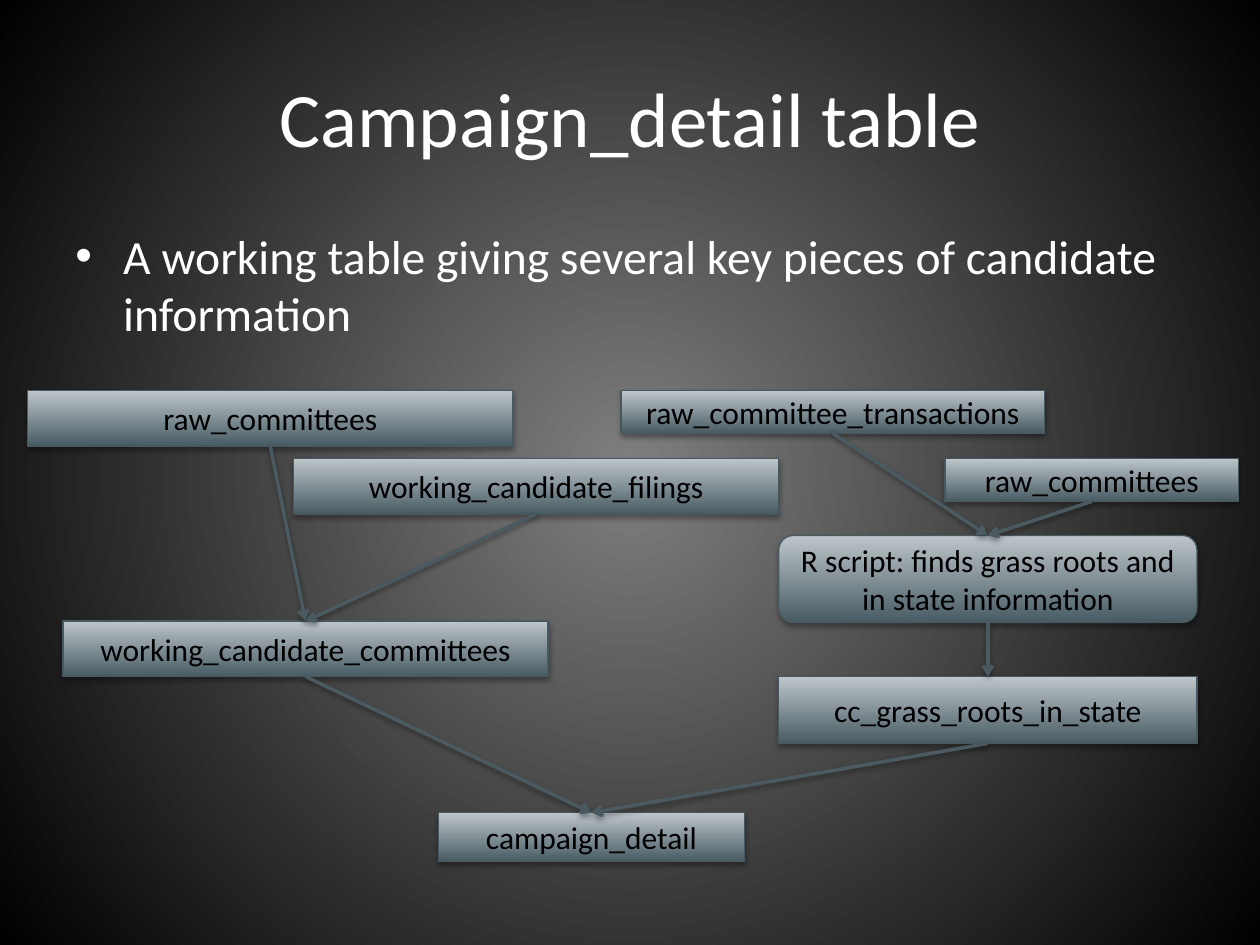
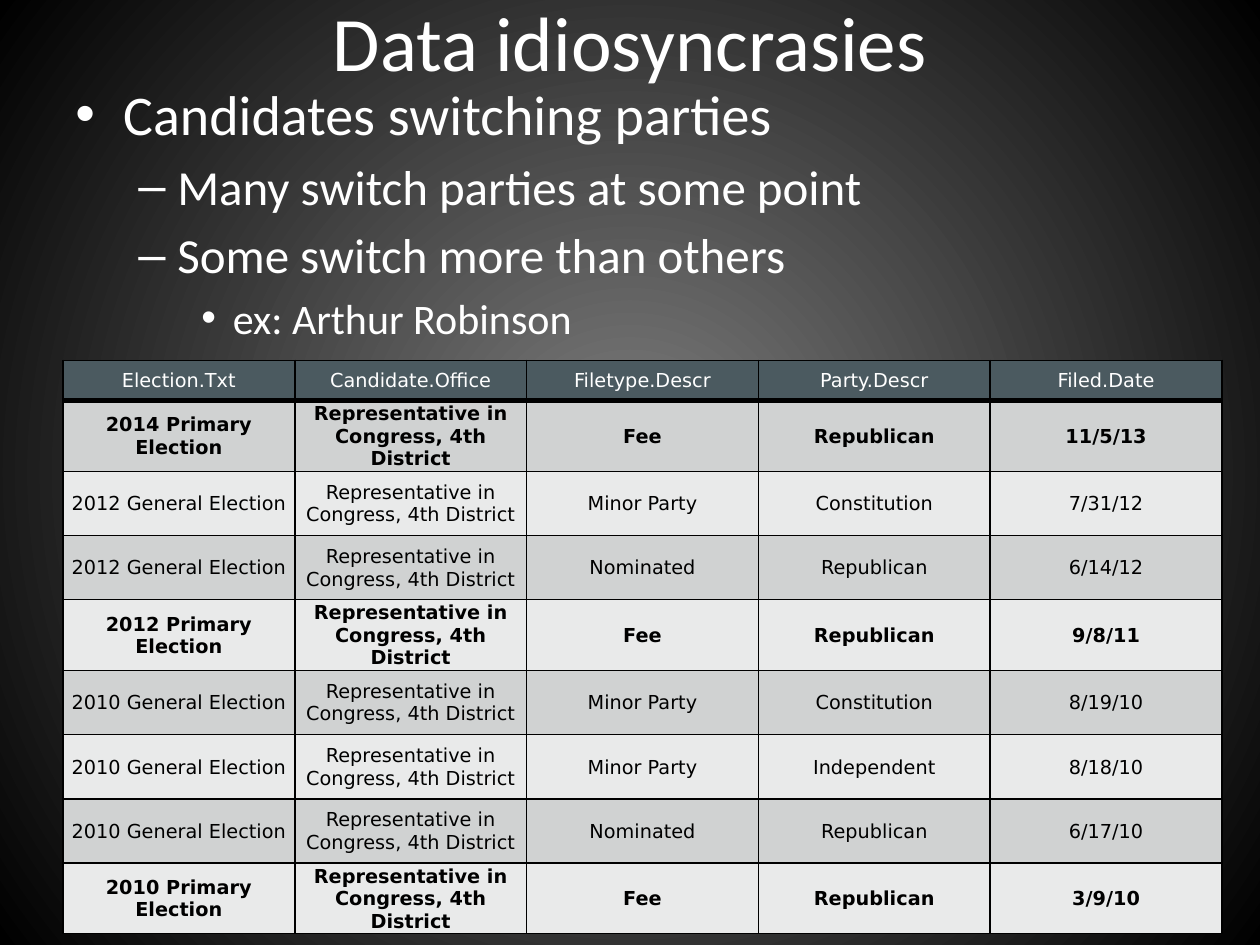
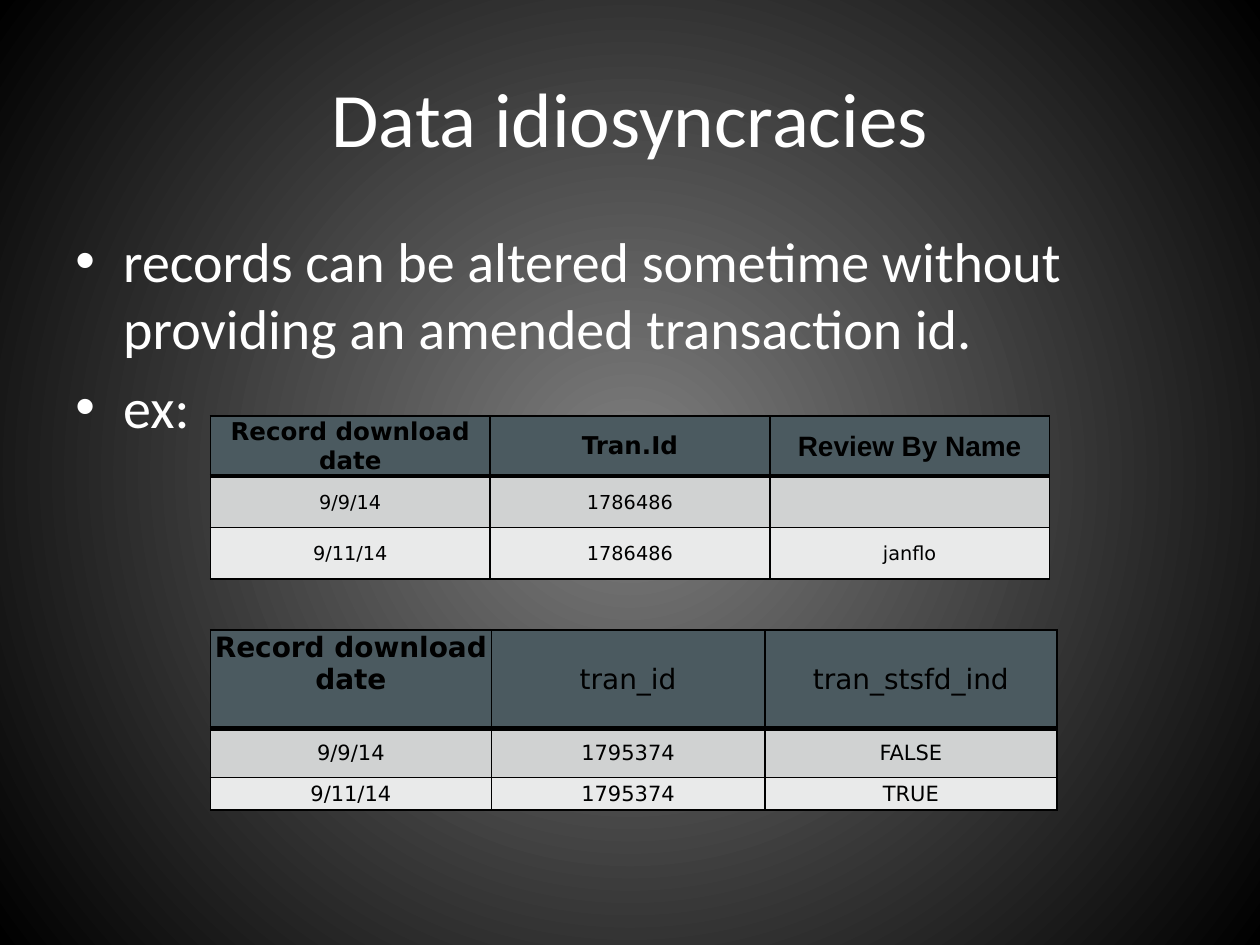
from lxml.etree import SubElement
from pptx import Presentation
from pptx.dml.color import RGBColor
from pptx.enum.shapes import MSO_CONNECTOR, MSO_SHAPE
from pptx.enum.text import MSO_ANCHOR, PP_ALIGN
from pptx.oxml.ns import qn
from pptx.util import Inches, Pt

WIDE, HIGH = 10, 7.5
SIDE = WIDE * 0.05
WHITE, BLACK, SLATE = "FFFFFF", "000000", "4B5A60"
BANDS = "D0D2D2", "E9EAEA"
GLOW = "7F7F7F", BLACK
STEEL = "485B63", "BDC6CA"
EDGE = "49585E"
SANS = "DejaVu Sans"
TITLE = dict(name="Calibri", size=44, color=WHITE)
LABEL = dict(name="Calibri", size=18, color=BLACK)

# bullet, left indent, hanging indent, size
LEVELS = [("•", 0.38, 0.38, 32), ("–", 0.81, 0.31, 28), ("•", 1.25, 0.25, 24)]

FLOW = dict(
    title="Campaign_detail table", top=0.3, body=1.75, size=27.2,
    points=[(0, "A working table giving several key pieces of candidate information")])
# key: text, left, top, width, height
BOXES = {
    "committees": ("raw_committees", 0.22, 3.1, 3.85, 0.44),
    "filings": ("working_candidate_filings", 2.33, 3.64, 3.85, 0.44),
    "working": ("working_candidate_committees", 0.5, 4.93, 3.85, 0.44),
    "moves": ("raw_committee_transactions", 4.93, 3.1, 3.36, 0.34),
    "raw": ("raw_committees", 7.5, 3.64, 2.33, 0.34),
    "script": ("R script: finds grass roots and in state information", 6.18, 4.25, 3.32, 0.69),
    "roots": ("cc_grass_roots_in_state", 6.18, 5.37, 3.32, 0.53),
    "detail": ("campaign_detail", 3.48, 6.45, 2.43, 0.39),
}
ARROWS = [("committees", "working"), ("filings", "working"), ("working", "detail"),
          ("moves", "script"), ("raw", "script"), ("script", "roots"), ("roots", "detail")]

SWITCH = dict(
    title="Data idiosyncrasies", top=-0.3, body=0.58,
    points=[(0, "Candidates switching parties"), (1, "Many switch parties at some point"),
            (1, "Some switch more than others"), (2, "ex: Arthur Robinson")])
OFFICE = "Representative in Congress, 4th District"
FILINGS = [
    ("2014 Primary Election", "Fee", "Republican", "11/5/13"),
    ("2012 General Election", "Minor Party", "Constitution", "7/31/12"),
    ("2012 General Election", "Nominated", "Republican", "6/14/12"),
    ("2012 Primary Election", "Fee", "Republican", "9/8/11"),
    ("2010 General Election", "Minor Party", "Constitution", "8/19/10"),
    ("2010 General Election", "Minor Party", "Independent", "8/18/10"),
    ("2010 General Election", "Nominated", "Republican", "6/17/10"),
    ("2010 Primary Election", "Fee", "Republican", "3/9/10"),
]
PARTIES = dict(
    at=(SIDE, 2.86), cols=[1.84] * 5, rows=[0.32] + [0.51] * 8, size=11,
    head=[(name, dict(size=11, color=WHITE)) for name in (
        "Election.Txt", "Candidate.Office", "Filetype.Descr", "Party.Descr", "Filed.Date")],
    data=[(vote, OFFICE, *rest) for vote, *rest in FILINGS])

ALTER = dict(
    title="Data idiosyncracies", top=0.3, body=1.75,
    points=[(0, "records can be altered sometime without providing an amended transaction id."),
            (0, "ex:")])
REVIEW = dict(
    at=(1.67, 3.3), cols=[2.22] * 3, rows=[0.47, 0.41, 0.41], size=11,
    head=[("Record download date", dict(size=14, bold=True)),
          ("Tran.Id", dict(size=14, bold=True)),
          ("Review By Name", dict(size=16, bold=True, name="Arial"))],
    data=[("9/9/14", "1786486", ""), ("9/11/14", "1786486", "janflo")])
STATUS = dict(
    at=(1.67, 5), cols=[2.23, 2.17, 2.32], rows=[0.78, 0.39, 0.26], size=12,
    head=[("Record download date", dict(size=16, bold=True, anchor=MSO_ANCHOR.TOP)),
          ("tran_id", dict(size=16)), ("tran_stsfd_ind", dict(size=16))],
    data=[("9/9/14", "1795374", "FALSE"), ("9/11/14", "1795374", "TRUE")])


def rgb(code):
    return RGBColor.from_string(code)


def inch(*sizes):
    return [Inches(size) for size in sizes]


def node(parent, tag, **attrs):
    return SubElement(parent, qn(tag), {key: str(val) for key, val in attrs.items()})


def write(para, text, style):
    run = para.add_run()
    run.text = text
    for key, val in style.items():
        if key == "color":
            run.font.color.rgb = rgb(val)
        else:
            setattr(run.font, key, Pt(val) if key == "size" else val)


def blend(fill, codes):
    fill.gradient()
    for stop, code, place in zip(fill.gradient_stops, codes, (0, 1)):
        stop.color.rgb = rgb(code)
        stop.position = place


def glow(master):
    """Give every slide a round gradient, light at the centre."""
    blend(master.background.fill, GLOW)
    grad = next(master.element.iter(qn("a:gradFill")))
    grad.remove(grad.find(qn("a:lin")))
    ring = node(grad, "a:path", path="circle")
    node(ring, "a:fillToRect", l=50000, t=50000, r=50000, b=50000)


def shade(shape, drop, alpha):
    effects = node(shape.element.spPr, "a:effectLst")
    cast = node(effects, "a:outerShdw", blurRad=Pt(3.1), dist=Pt(drop),
                dir=5400000, rotWithShape=0)
    node(node(cast, "a:srgbClr", val=BLACK), "a:alpha", val=alpha * 1000)


def frame(slide, top, height):
    text = slide.shapes.add_textbox(*inch(SIDE, top, WIDE - 2 * SIDE, height)).text_frame
    text.word_wrap = True
    return text


def page(prs, title, top, body, points, size=None):
    slide = prs.slides.add_slide(prs.slide_layouts[6])
    head = frame(slide, top, HIGH / 6)
    head.vertical_anchor = MSO_ANCHOR.MIDDLE
    head.paragraphs[0].alignment = PP_ALIGN.CENTER
    write(head.paragraphs[0], title, TITLE)
    text = frame(slide, body, 0.9 if size else 4.95)
    for pos, (level, words) in enumerate(points):
        para = text.add_paragraph() if pos else text.paragraphs[0]
        mark, left, hang, full = LEVELS[level]
        high = size or full
        para.level = level
        para.space_before = Pt(round(high * 0.2, 1))
        props = para._p.get_or_add_pPr()
        props.set("marL", str(Inches(left)))
        props.set("indent", str(-Inches(hang)))
        node(props, "a:buFont", typeface="Arial")
        node(props, "a:buChar", char=mark)
        write(para, words, {**TITLE, "size": high})
    return slide


def box(slide, text, *place, kind=MSO_SHAPE.RECTANGLE):
    shape = slide.shapes.add_shape(kind, *inch(*place))
    blend(shape.fill, STEEL)
    shape.fill.gradient_angle = 90
    shape.line.color.rgb = rgb(EDGE)
    shape.line.width = Pt(0.75)
    shade(shape, 1.8, 35)
    label = shape.text_frame
    label.word_wrap = True
    label.vertical_anchor = MSO_ANCHOR.MIDDLE
    label.paragraphs[0].alignment = PP_ALIGN.CENTER
    write(label.paragraphs[0], text, LABEL)
    return shape


def arrow(slide, start, end):
    """Join the bottom of one box to the top of the next."""
    link = slide.shapes.add_connector(MSO_CONNECTOR.STRAIGHT, 0, 0, 0, 0)
    link.begin_connect(start, 2)
    link.end_connect(end, 0)
    link.line.color.rgb = rgb(SLATE)
    link.line.width = Pt(2)
    node(link.line._get_or_add_ln(), "a:tailEnd", type="arrow")
    shade(link, 1.6, 38)


def fill_cell(cell, text, style, color, row):
    wide = {"a:lnT": 3 if row == 1 else 1, "a:lnB": 1 if row else 3}
    props = cell._tc.get_or_add_tcPr()
    for tag in ("a:lnL", "a:lnR", "a:lnT", "a:lnB"):
        line = node(props, tag, w=Pt(wide.get(tag, 1)))
        node(node(line, "a:solidFill"), "a:srgbClr", val=BLACK)
    cell.fill.solid()
    cell.fill.fore_color.rgb = rgb(color)
    style = dict(name=SANS, color=BLACK, bold=False) | style
    cell.vertical_anchor = style.pop("anchor", MSO_ANCHOR.MIDDLE)
    for side, gap in dict(left=0.01, top=0.01, right=0.01, bottom=0).items():
        setattr(cell, f"margin_{side}", Inches(gap))
    para = cell.text_frame.paragraphs[0]
    para.alignment = PP_ALIGN.CENTER
    if text:
        write(para, text, style)


def grid(slide, at, cols, rows, size, head, data):
    area = inch(*at, sum(cols), sum(rows))
    table = slide.shapes.add_table(len(rows), len(cols), *area).table
    table.horz_banding = table.first_row = False
    for col, width in zip(table.columns, cols):
        col.width = Inches(width)
    for row, height in zip(table.rows, rows):
        row.height = Inches(height)
    for col, (text, style) in enumerate(head):
        fill_cell(table.cell(0, col), text, style, SLATE, 0)
    for row, values in enumerate(data, 1):
        style = dict(size=size, bold="Primary" in values[0])
        for col, text in enumerate(values):
            fill_cell(table.cell(row, col), text, style, BANDS[(row - 1) % 2], row)


def main():
    prs = Presentation()
    prs.slide_width, prs.slide_height = inch(WIDE, HIGH)
    glow(prs.slide_master)

    flow = page(prs, **FLOW)
    kinds = {"script": MSO_SHAPE.ROUNDED_RECTANGLE}
    boxes = {key: box(flow, *parts, kind=kinds.get(key, MSO_SHAPE.RECTANGLE))
             for key, parts in BOXES.items()}
    for start, end in ARROWS:
        arrow(flow, boxes[start], boxes[end])

    grid(page(prs, **SWITCH), **PARTIES)

    alter = page(prs, **ALTER)
    for table in (STATUS, REVIEW):
        grid(alter, **table)
    prs.save("out.pptx")


if __name__ == "__main__":
    main()
